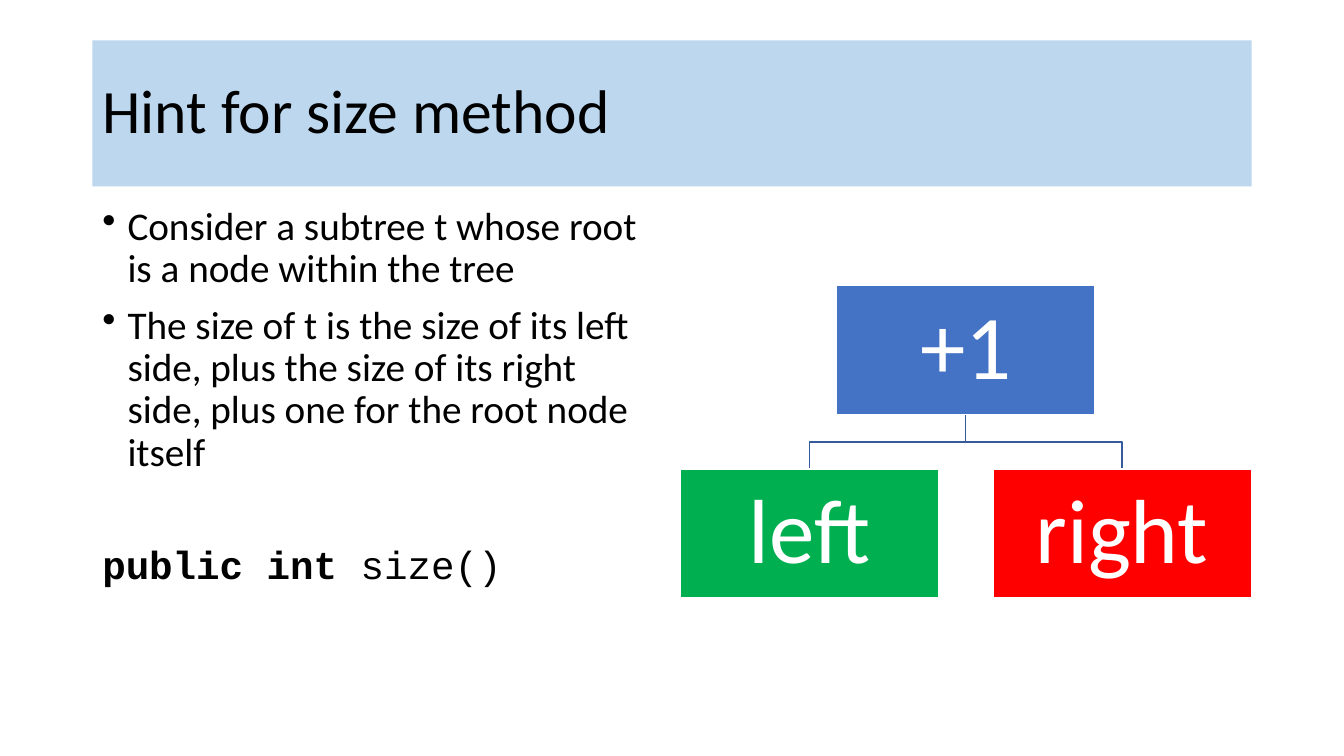
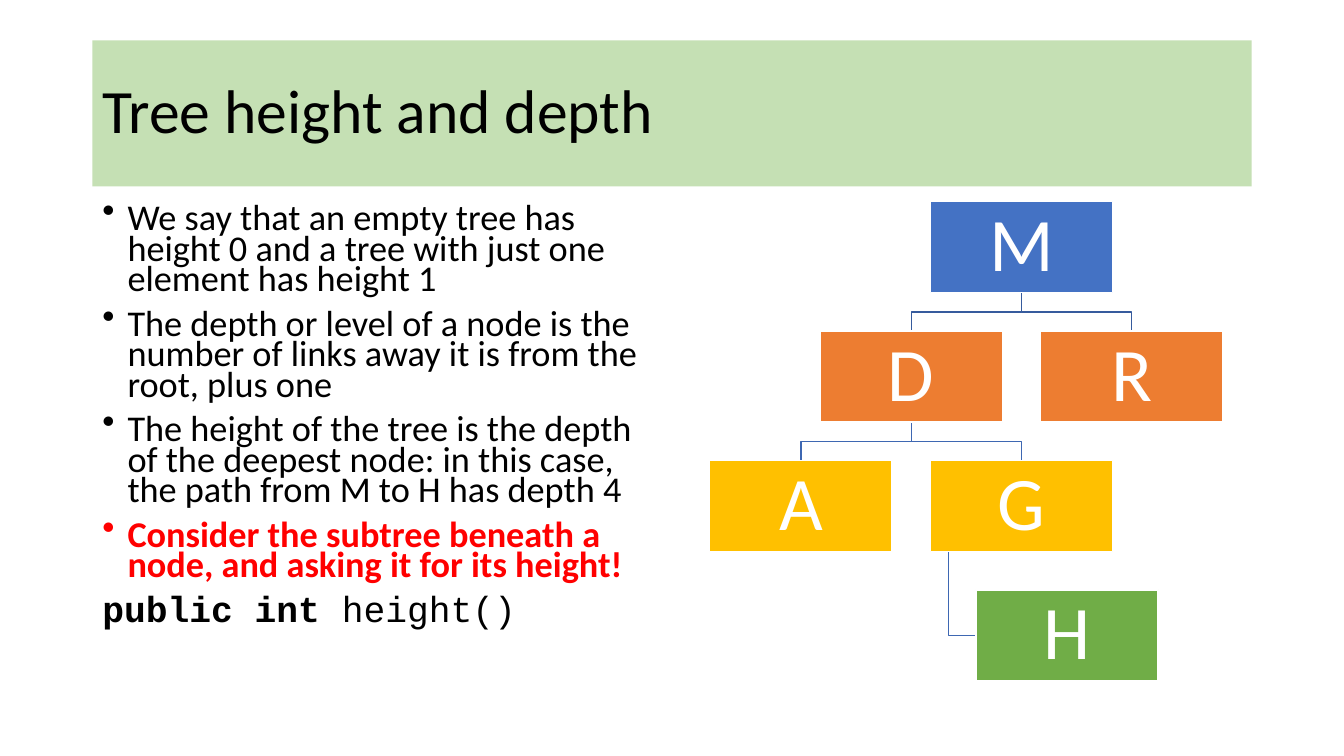
from dataclasses import dataclass
from typing import Optional

from lxml import etree
from pptx import Presentation, util as u
from pptx.dml.color import RGBColor
from pptx.enum import shapes, text
from pptx.oxml import ns

COLS, ROWS = 160, 90
UNIT = u.Inches(1) // 12
INK = {
    "black": "000000", "white": "FFFFFF", "red": "FF0000",
    "sky": "BDD7EE", "mint": "C5E0B4", "blue": "4472C4",
    "green": "00B050", "orange": "ED7D31", "gold": "FFC000",
    "leaf": "70AD47", "link": "365B9D", "deep": "3E67B2",
}
SANS, MONO = "Calibri", "Courier New"
# Grid places: left, top, width, height in grid units
TITLE = (11, 4.8, 138, 17.4)
BODY = (11, 24, 68, 57.1)
# Tree rules, as shares of a box's width or height
STEP_X, STEP_Y = 0.605, 1.42
SIDE_X, STEM_X = 0.25, 0.1


@dataclass
class Run:
    """A stretch of text in one style."""
    words: str
    bold: bool = False
    ink: str = "black"
    font: str = SANS


@dataclass
class Para:
    """A paragraph, with or without a bullet."""
    runs: list[Run]
    mark: bool = True
    gap: float = 10


@dataclass
class Node:
    """A tree box; a side node hangs to the right below its parent."""
    name: str
    ink: str
    col: int
    row: int
    up: Optional[str] = None
    side: bool = False


@dataclass
class Tree:
    """Nodes, with the tree's corner, box width, text size and inset."""
    nodes: list[Node]
    left: float
    top: float
    wide: float
    size: float
    inset: float

    @property
    def high(self) -> float:
        """Give the box height, half its width."""
        return self.wide / 2

    def spot(self, node: Node) -> tuple[float, float]:
        """Give the top left corner of a node."""
        x = self.left + node.col * STEP_X * self.wide
        if node.side:
            x += SIDE_X * self.wide
        return x, self.top + node.row * STEP_Y * self.high


@dataclass
class Page:
    """All that differs from slide to slide."""
    title: str
    band: str
    paras: list[Para]
    size: float
    lead: float
    tree: Tree


def span(n: float) -> u.Emu:
    """Turn grid units into a length."""
    return u.Emu(round(n * UNIT))


def tint(name: str) -> RGBColor:
    """Look up a colour."""
    return RGBColor.from_string(INK[name])


def add_run(para, run: Run, size: float) -> None:
    """Add one styled run to a paragraph."""
    part = para.add_run()
    part.text = run.words
    font = part.font
    font.name, font.size, font.bold = run.font, u.Pt(size), run.bold
    font.color.rgb = tint(run.ink)


def add_mark(para) -> None:
    """Give a paragraph a bullet and a hanging indent."""
    props = para._p.get_or_add_pPr()
    props.set("marL", str(span(3)))
    props.set("indent", str(-span(3)))
    etree.SubElement(props, ns.qn("a:buChar")).set("char", "\u2022")


def add_title(slide, words: str, band: str) -> None:
    """Fill the title placeholder and turn it into a band."""
    head = slide.shapes.title
    head.left, head.top, head.width, head.height = map(span, TITLE)
    head.fill.solid()
    head.fill.fore_color.rgb = tint(band)
    frame = head.text_frame
    frame.auto_size = text.MSO_AUTO_SIZE.NONE
    frame.vertical_anchor = text.MSO_ANCHOR.MIDDLE
    para = frame.paragraphs[0]
    para.alignment = text.PP_ALIGN.LEFT
    para.line_spacing = 0.9
    add_run(para, Run(words), 44)


def add_body(slide, paras: list[Para], size: float, lead: float) -> None:
    """Add the text column."""
    frame = slide.shapes.add_textbox(*map(span, BODY)).text_frame
    frame.word_wrap = True
    for i, item in enumerate(paras):
        para = frame.add_paragraph() if i else frame.paragraphs[0]
        para.line_spacing = lead
        para.space_before = u.Pt(item.gap)
        if item.mark:
            add_mark(para)
        for run in item.runs:
            add_run(para, run, size)


def add_link(slide, tree: Tree, top: Node, end: Node) -> None:
    """Draw the elbow line from a parent to its child."""
    (px, py), (x, y) = tree.spot(top), tree.spot(end)
    low = py + tree.high
    if end.side:
        stem, mid = px + STEM_X * tree.wide, y + tree.high / 2
        dots = [(stem, low), (stem, mid), (x, mid)]
    else:
        half, mid = tree.wide / 2, (low + y) / 2
        dots = [(px + half, low), (px + half, mid), (x + half, mid), (x + half, y)]
    dots = [(span(a), span(b)) for a, b in dots]
    pen = slide.shapes.build_freeform(*dots[0])
    pen.add_line_segments(dots[1:], close=False)
    line = pen.convert_to_shape()
    line.shadow.inherit = False
    line.fill.background()
    line.line.color.rgb = tint("link" if end.row == 1 else "deep")
    line.line.width = u.Pt(1)


def add_node(slide, tree: Tree, node: Node) -> None:
    """Draw one labelled box."""
    place = (*tree.spot(node), tree.wide, tree.high)
    box = slide.shapes.add_shape(shapes.MSO_SHAPE.RECTANGLE, *map(span, place))
    box.shadow.inherit = False
    box.fill.solid()
    box.fill.fore_color.rgb = tint(node.ink)
    box.line.color.rgb = tint("white")
    box.line.width = u.Pt(1)
    frame = box.text_frame
    frame.word_wrap = True
    frame.vertical_anchor = text.MSO_ANCHOR.MIDDLE
    inset = span(tree.inset)
    frame.margin_left = frame.margin_right = inset
    frame.margin_top = frame.margin_bottom = inset
    para = frame.paragraphs[0]
    para.alignment = text.PP_ALIGN.CENTER
    para.line_spacing = 0.9
    add_run(para, Run(node.name, ink="white"), tree.size)


def add_tree(slide, tree: Tree) -> None:
    """Draw the links, then the boxes over them."""
    known = {node.name: node for node in tree.nodes}
    for node in tree.nodes:
        if node.up:
            add_link(slide, tree, known[node.up], node)
    for node in tree.nodes:
        add_node(slide, tree, node)


def point(words: str) -> Para:
    """Make a plain bullet."""
    return Para([Run(words)])


def code(call: str, gap: float = 10) -> Para:
    """Make a method's signature line."""
    return Para([Run("public int ", True, font=MONO), Run(call, font=MONO)], False, gap)


PAGES = [
    Page(
        "Hint for size method", "sky",
        [
            point("Consider a subtree t whose root is a node within the tree"),
            point("The size of t is the size of its left side, plus the size of "
                  "its right side, plus one for the root node itself"),
            code("size()", gap=51),
        ],
        28, 0.9,
        Tree([
            Node("+1", "blue", 1, 0),
            Node("left", "green", 0, 1, "+1"),
            Node("right", "red", 2, 1, "+1"),
        ], left=81, top=34, wide=30.75, size=65, inset=0.6),
    ),
    Page(
        "Tree height and depth", "mint",
        [
            point("We say that an empty tree has height 0 and a tree with just "
                  "one element has height 1"),
            point("The depth or level of a node is the number of links away it "
                  "is from the root, plus one"),
            point("The height of the tree is the depth of the deepest node: in "
                  "this case, the path from M to H has depth 4"),
            Para([Run("Consider the subtree beneath a node, and asking it for "
                      "its height!", True, "red")]),
            code("height()"),
        ],
        25.9, 0.7,
        Tree([
            Node("M", "blue", 2, 0),
            Node("D", "orange", 1, 1, "M"),
            Node("A", "gold", 0, 2, "D"),
            Node("G", "gold", 2, 2, "D"),
            Node("H", "leaf", 2, 3, "G", side=True),
            Node("R", "orange", 3, 1, "M"),
        ], left=84.5, top=24, wide=21.7, size=54, inset=0.5),
    ),
]


def main() -> None:
    """Build and save the deck."""
    deck = Presentation()
    deck.slide_width, deck.slide_height = span(COLS), span(ROWS)
    plain = deck.slide_layouts.get_by_name("Title Only")
    for page in PAGES:
        slide = deck.slides.add_slide(plain)
        add_title(slide, page.title, page.band)
        add_body(slide, page.paras, page.size, page.lead)
        add_tree(slide, page.tree)
    deck.save("out.pptx")


main()
